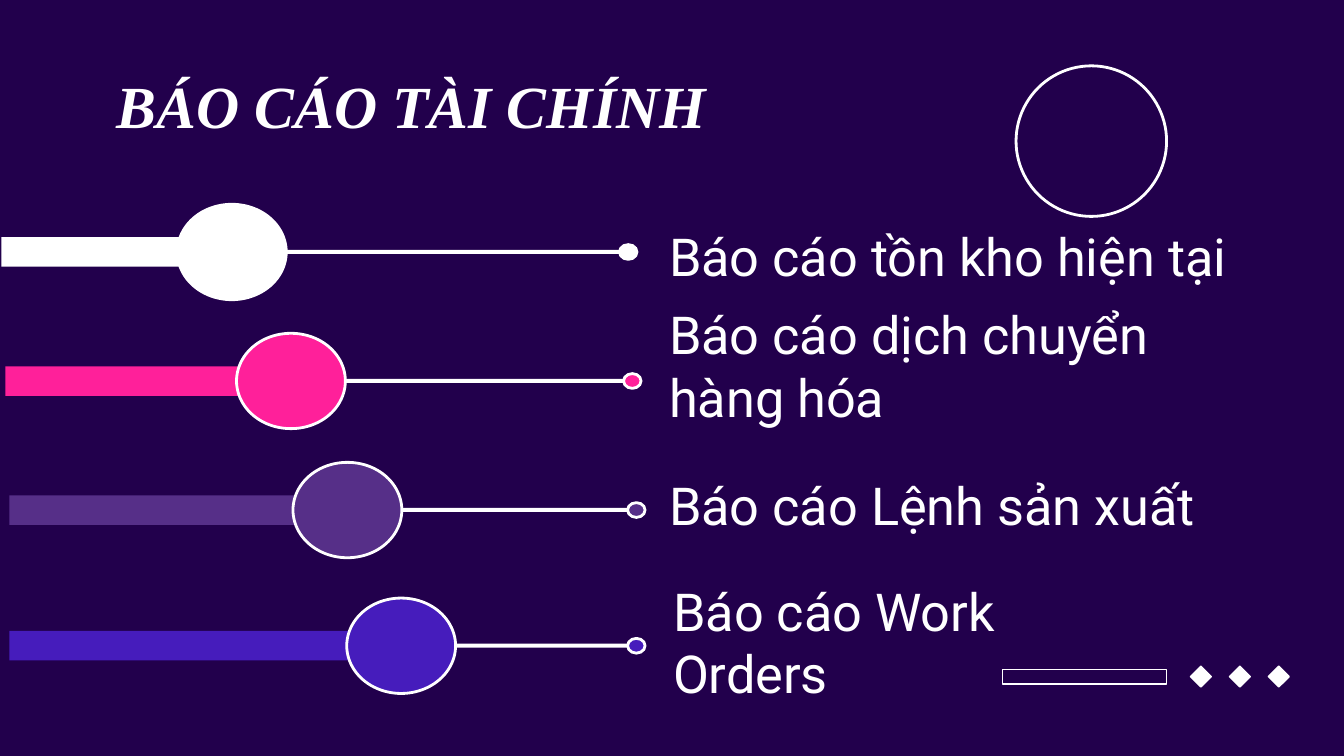
from pptx import Presentation
from pptx.dml.color import RGBColor
from pptx.enum.shapes import MSO_SHAPE
from pptx.enum.text import MSO_ANCHOR
from pptx.util import Inches, Pt

# Content: place of each slider's parts and its label, in inches
TITLE = "BÁO CÁO TÀI CHÍNH"
SLIDERS = [
    dict(color="white", top=1.52, bar=(0.01, 1.52), track=1.73, knob=1.32, dot=4.61),
    dict(color="pink", top=2.48, bar=(0.04, 2.17), track=2.3, knob=1.76, dot=4.64),
    dict(color="purple", top=3.44, bar=(0.07, 2.4), track=2.32, knob=2.18, dot=4.67),
    dict(color="blue", top=4.45, bar=(0.07, 2.66), track=2.93, knob=2.58, dot=4.67),
]
LABELS = [
    ("Báo cáo tồn kho hiện tại", 4.88, 1.52, 4.71),
    ("Báo cáo dịch chuyển hàng hóa", 4.88, 2.33, 4.71),
    ("Báo cáo Lệnh sản xuất", 4.88, 3.37, 4.55),
    ("Báo cáo Work Orders", 4.91, 4.39, 3.49),
]

THEME = dict(
    back="22004C", white="FFFFFF", pink="FF209A", purple="562F88", blue="461CBC",
    title=dict(name="Times New Roman", size=Pt(32), bold=True, italic=True),
    label=dict(name="Roboto", size=Pt(28)),
    thin=0.75, outline=1.5,
)
BAR_H, TRACK_H, LABEL_H = 0.22, 0.03, 0.77
KNOB, DOT = (0.81, 0.71), (0.13, 0.11)
DIAMOND, DIAMOND_STEP = 0.11, 0.29


def rgb(name):
    return RGBColor.from_string(THEME[name])


def add_shape(parent, kind, x, y, w, h, fill=None, line=None):
    s = parent.add_shape(kind, Inches(x), Inches(y), Inches(w), Inches(h))
    s.shadow.inherit = False
    if fill:
        s.fill.solid()
        s.fill.fore_color.rgb = rgb(fill)
    else:
        s.fill.background()
    if line:
        s.line.color.rgb = rgb("white")
        s.line.width = Pt(line)
    else:
        s.line.fill.background()
    return s


def add_text(text, x, y, w, h, style, anchor):
    tf = shapes.add_textbox(Inches(x), Inches(y), Inches(w), Inches(h)).text_frame
    frame = dict(word_wrap=True, vertical_anchor=anchor)
    frame.update({f"margin_{side}": Inches(0.1)
                  for side in ("left", "right", "top", "bottom")})
    for key, value in frame.items():
        setattr(tf, key, value)
    r = tf.paragraphs[0].add_run()
    r.text = text
    r.font.color.rgb = rgb("white")
    for key, value in THEME[style].items():
        setattr(r.font, key, value)


def add_slider(color, top, bar, track, knob, dot):
    group = shapes.add_group_shape().shapes
    mid = top + KNOB[1] / 2
    track_w = dot + 0.03 - track
    parts = [
        (MSO_SHAPE.RECTANGLE, bar[0], bar[1], BAR_H, color, None),
        (MSO_SHAPE.RECTANGLE, track, track_w, TRACK_H, "white", None),
        (MSO_SHAPE.OVAL, knob, *KNOB, color, THEME["outline"]),
        (MSO_SHAPE.OVAL, dot, *DOT, color, THEME["outline"]),
    ]
    for kind, x, w, h, fill, line in parts:
        add_shape(group, kind, x, mid - h / 2, w, h, fill, line)


# A 16:9 slide
prs = Presentation()
prs.slide_width = Inches(10)
prs.slide_height = prs.slide_width * 9 // 16
slide = prs.slides.add_slide(prs.slide_layouts[6])
slide.background.fill.solid()
slide.background.fill.fore_color.rgb = rgb("back")
shapes = slide.shapes

# Corner decoration: outlined bar, three diamonds, ring
add_shape(shapes, MSO_SHAPE.RECTANGLE, 7.46, 4.98, 1.22, 0.11, line=THEME["thin"])
for i in range(3):
    s = add_shape(shapes, MSO_SHAPE.RECTANGLE, 8.88 + i * DIAMOND_STEP, 4.98,
                  DIAMOND, DIAMOND, "white", THEME["thin"])
    s.rotation = 45
add_shape(shapes, MSO_SHAPE.OVAL, 7.56, 0.49, 1.12, 1.12, line=THEME["outline"])

# Title, sliders and their labels
add_text(TITLE, 0.77, 0.41, 6.09, 0.63, "title", MSO_ANCHOR.TOP)
for slider in SLIDERS:
    add_slider(**slider)
for text, x, y, w in LABELS:
    add_text(text, x, y, w, LABEL_H, "label", MSO_ANCHOR.MIDDLE)

prs.save("out.pptx")
